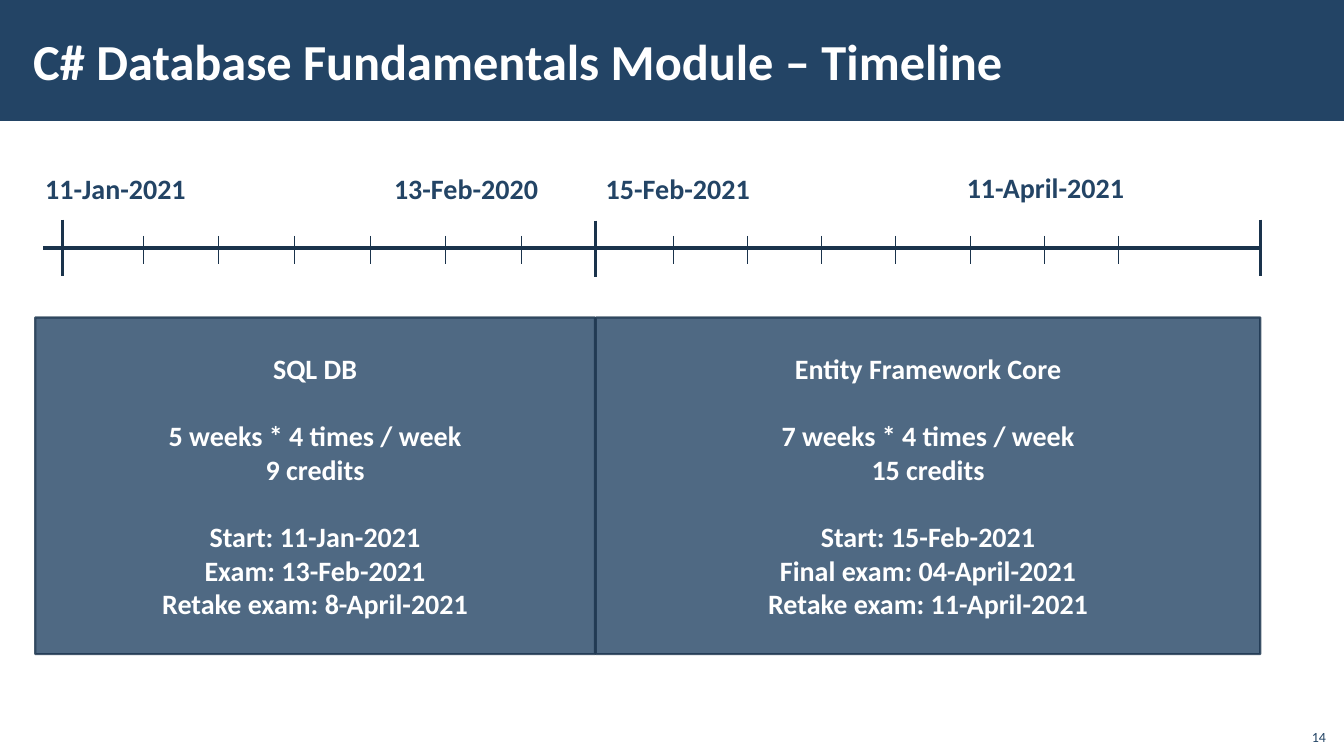
from lxml import etree
from pptx import Presentation
from pptx.dml.color import RGBColor
from pptx.enum.shapes import MSO_CONNECTOR, MSO_SHAPE
from pptx.enum.text import MSO_ANCHOR, PP_ALIGN
from pptx.oxml.ns import qn
from pptx.util import Inches, Pt

RECT, LINE = MSO_SHAPE.RECTANGLE, MSO_CONNECTOR.STRAIGHT
LEFT, CENTER, RIGHT = PP_ALIGN.LEFT, PP_ALIGN.CENTER, PP_ALIGN.RIGHT
TOP, MIDDLE, BOTTOM = MSO_ANCHOR.TOP, MSO_ANCHOR.MIDDLE, MSO_ANCHOR.BOTTOM

COLORS = {"navy": "234465", "rule": "1A334C", "white": "FFFFFF"}
FONT = "Calibri"

# Date labels: text, left, top, width
DATES = [
    ("11-Jan-2021", 0.35, 1.65, 1.61),
    ("13-Feb-2020", 3.81, 1.65, 1.64),
    ("15-Feb-2021", 5.91, 1.65, 1.64),
    ("11-April-2021", 9.49, 1.64, 1.78),
]
# Axis marks: x, top of the mark
MILESTONES = [(0.62, 2.18), (5.91, 2.19), (12.5, 2.18)]
# Week ticks: first x, last x, count
WEEKS = [(1.42, 5.17, 6), (6.68, 11.09, 7)]

# Course cards: left, width, groups of lines
COURSES = [
    (0.35, 5.55, [
        ["SQL DB"],
        ["5 weeks * 4 times / week", "9 credits"],
        ["Start: 11-Jan-2021", "Exam: 13-Feb-2021",
         "Retake exam: 8-April-2021"],
    ]),
    (5.91, 6.59, [
        ["Entity Framework Core"],
        ["7 weeks * 4 times / week", "15 credits"],
        ["Start: 15-Feb-2021", "Final exam: 04-April-2021",
         "Retake exam: 11-April-2021"],
    ]),
]


def rgb(name):
    return RGBColor.from_string(COLORS[name])


def set_alpha(properties, percent):
    for color in properties.iter(qn("a:srgbClr")):
        etree.SubElement(color, qn("a:alpha")).set("val", str(percent * 1000))


def write(frame, groups, size=20, color="navy", bold=True, align=LEFT,
          anchor=TOP, wrap=True, gap=24):
    """Write groups of lines, with a gap before each later group."""
    frame.word_wrap = wrap
    frame.vertical_anchor = anchor
    lines = [(text, index > 0 and row == 0)
             for index, group in enumerate(groups)
             for row, text in enumerate(group)]
    for number, (text, spaced) in enumerate(lines):
        paragraph = frame.add_paragraph() if number else frame.paragraphs[0]
        paragraph.alignment = align
        if spaced:
            paragraph.space_before = Pt(gap)
        run = paragraph.add_run()
        run.text = text
        run.font.name, run.font.size, run.font.bold = FONT, Pt(size), bold
        run.font.color.rgb = rgb(color)


def add_label(slide, text, left, top, width, height, **text_format):
    label = slide.shapes.add_textbox(*map(Inches, (left, top, width, height)))
    write(label.text_frame, [[text]], **text_format)
    return label.text_frame


def add_panel(slide, left, top, width, height):
    panel = slide.shapes.add_shape(
        RECT, *map(Inches, (left, top, width, height)))
    panel.shadow.inherit = False
    panel.fill.solid()
    panel.fill.fore_color.rgb = rgb("navy")
    panel.line.fill.background()
    return panel


def add_rule(slide, x1, y1, x2, y2, weight):
    rule = slide.shapes.add_connector(LINE, *map(Inches, (x1, y1, x2, y2)))
    rule.line.color.rgb = rgb("rule")
    rule.line.width = Pt(weight)
    etree.SubElement(rule._element.spPr, qn("a:effectLst"))


def add_header(slide, left, top, width, height):
    add_panel(slide, left, top, width, height)
    title = add_label(slide, "C# Database Fundamentals Module – Timeline",
                      left + 0.21, top + 0.11, 10.63, 0.97,
                      size=36, color="white", anchor=MIDDLE)
    title.margin_left = title.margin_right = Inches(0.12)
    title.margin_top = title.margin_bottom = Inches(0.04)


def add_timeline(slide, left, axis_y, right):
    # Axis and milestones
    add_rule(slide, left, axis_y, right, axis_y, 2.25)
    for x, top in MILESTONES:
        add_rule(slide, x, top, x, top + 0.56, 2.25)
    # Weekly ticks
    for first, last, count in WEEKS:
        step = (last - first) / (count - 1)
        for week in range(count):
            x = first + week * step
            add_rule(slide, x, axis_y - 0.12, x, axis_y + 0.16, 0.5)
    # Dates
    for text, x, top, width in DATES:
        add_label(slide, text, x, top, width, 0.44, wrap=False)


def add_course(slide, left, top, width, height, groups):
    card = add_panel(slide, left, top, width, height)
    card.line.color.rgb = rgb("rule")
    card.line.width = Pt(1.5)
    set_alpha(card._element.spPr, 80)
    write(card.text_frame, groups, color="white", align=CENTER, anchor=MIDDLE)


def main():
    deck = Presentation()
    deck.slide_width, deck.slide_height = Inches(13.33), Inches(7.5)
    slide = deck.slides.add_slide(deck.slide_layouts[6])

    add_header(slide, 0, 0, 13.33, 1.2)
    for left, width, groups in COURSES:
        add_course(slide, left, 3.15, width, 3.34, groups)
    add_timeline(slide, 0.43, 2.46, 12.5)
    # Slide number
    add_label(slide, "14", 12.85, 7.12, 0.4, 0.32,
              size=10, bold=False, align=RIGHT, anchor=BOTTOM)

    deck.save("out.pptx")


if __name__ == "__main__":
    main()
